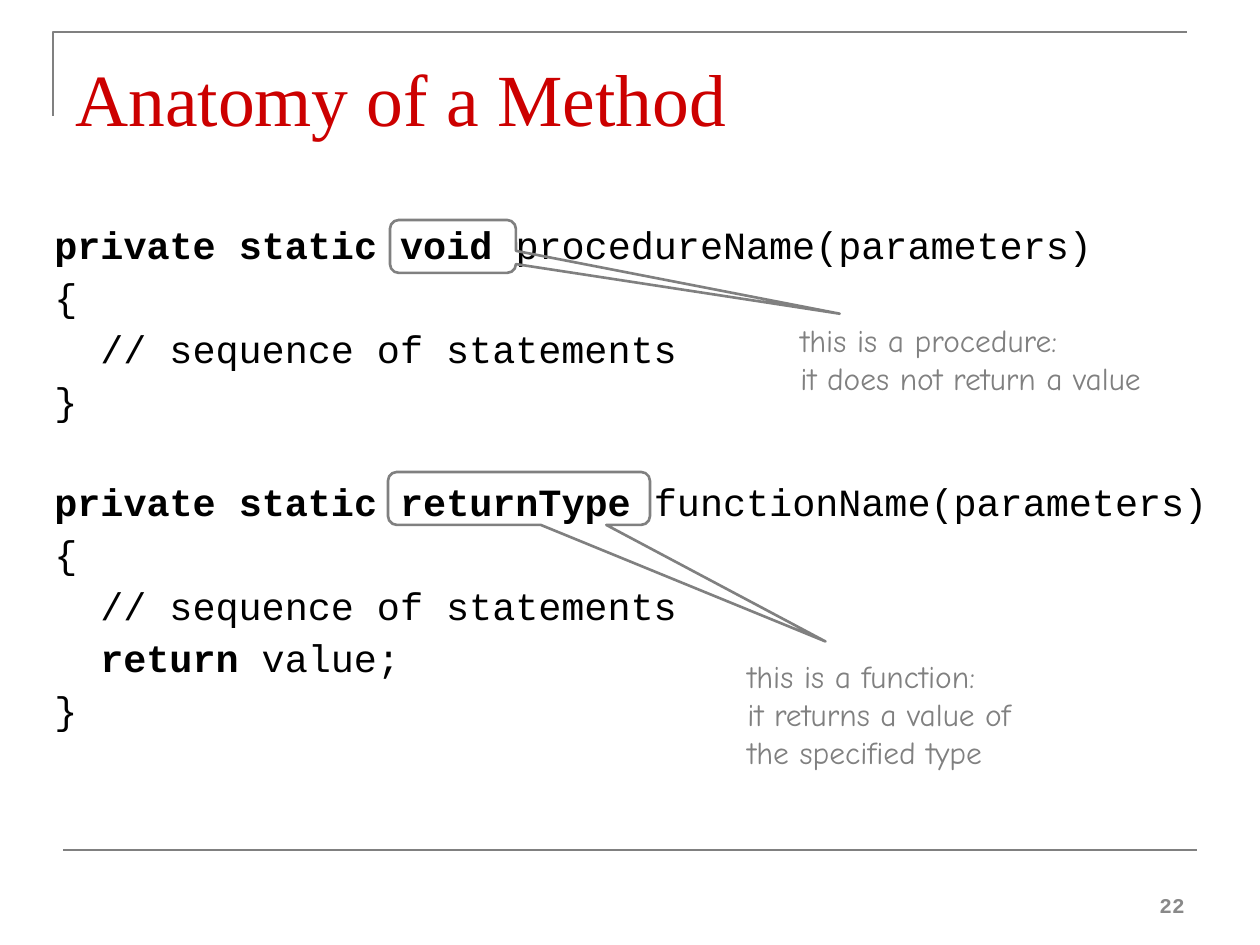
from pptx import Presentation
from pptx.dml.color import RGBColor as Color
from pptx.enum.shapes import MSO_CONNECTOR as Connector, MSO_SHAPE as Shape
from pptx.enum.text import MSO_ANCHOR as Anchor, PP_ALIGN as Align
from pptx.oxml import parse_xml
from pptx.oxml.ns import nsdecls
from pptx.util import Pt

EMU_PER_PX = 914400 / 126
COLORS = {"title": "CC0000", "code": "000000", "gray": "808080", "number": "898989"}
TITLE_FONT, CODE_FONT, NOTE_FONT = "Times New Roman", "Courier New", "Comic Neue"
CODE_INDENT = 46
CODE_GAP = 5.9
METHOD_GAP = 34.2


def px(length):
    return round(length * EMU_PER_PX)


class SlideBuilder:
    def __init__(self, width, height):
        self.deck = Presentation()
        self.deck.slide_width, self.deck.slide_height = px(width), px(height)
        self.page = self.deck.slides.add_slide(self.deck.slide_layouts[6])

    def outline(self, shape):
        shape.line.color.rgb = Color.from_string(COLORS["gray"])
        shape.line.width = Pt(1.5)

    def corner(self, points):
        builder = self.page.shapes.build_freeform(*points[0], scale=EMU_PER_PX)
        builder.add_line_segments(points[1:], close=False)
        shape = builder.convert_to_shape()
        shape.fill.background()
        shape.shadow.inherit = False
        self.outline(shape)

    def rule(self, left, right, top):
        line = self.page.shapes.add_connector(
            Connector.STRAIGHT, px(left), px(top), px(right), px(top))
        line._element.spPr.append(parse_xml(f"<a:effectLst {nsdecls('a')}/>"))
        self.outline(line)

    def style(self, para, font, size, color, bold=None):
        para.font.name, para.font.size, para.font.bold = font, Pt(size), bold
        para.font.color.rgb = Color.from_string(COLORS[color])

    def text(self, area, lines, font, size, color, bold=None, align=Align.LEFT,
             anchor=Anchor.TOP, top_inset=6, parent=None):
        box = (parent or self.page).shapes.add_textbox(*map(px, area))
        frame = box.text_frame
        frame.word_wrap = True
        frame.vertical_anchor = anchor
        frame.margin_top = px(top_inset)
        for index, line in enumerate(lines):
            para = frame.add_paragraph() if index else frame.paragraphs[0]
            para.text = line
            para.alignment = align
            self.style(para, font, size, color, bold)

    def code(self, area, methods):
        frame = self.page.shapes.add_textbox(*map(px, area)).text_frame
        frame.word_wrap = True
        para = frame.paragraphs[0]
        for number, method in enumerate(methods):
            for row, (level, keyword, rest) in enumerate(method):
                if number or row:
                    para = frame.add_paragraph()
                para.line_spacing = 0.9
                para.space_before = Pt(METHOD_GAP if number and not row else CODE_GAP)
                para._p.get_or_add_pPr().set("marL", str(px(level * CODE_INDENT)))
                self.style(para, CODE_FONT, 22, "code")
                for words, bold in ((keyword, True), (rest, False)):
                    if words:
                        span = para.add_run()
                        span.text, span.font.bold = words, bold

    def callout(self, area, tip, note_area, note_lines):
        group = self.page.shapes.add_group_shape()
        shape = group.shapes.add_shape(Shape.ROUNDED_RECTANGULAR_CALLOUT, *map(px, area))
        for index, value in enumerate((*tip, 0.167)):
            shape.adjustments[index] = value
        shape.fill.background()
        shape.shadow.inherit = False
        self.outline(shape)
        self.text(note_area, note_lines, NOTE_FONT, 18, "gray", parent=group)


def method(return_type, signature, *body):
    return [(0, f"private static {return_type}", f" {signature}(parameters)"),
            (0, "", "{"), (1, "", "// sequence of statements"), *body, (0, "", "}")]


def main():
    slide = SlideBuilder(1260, 945)
    slide.corner([(53, 116), (53, 32), (1187, 32)])
    slide.rule(63, 1197, 850)
    slide.text((63, 38, 1134, 157), ["Anatomy of a Method"], TITLE_FONT, 42, "title",
               top_inset=15)
    slide.code((42, 220, 1197, 620), [
        method("void", "procedureName"),
        method("returnType", "functionName", (1, "return", " value;")),
    ])
    slide.text((903, 861, 294, 63), ["22"], CODE_FONT, 12, "number", bold=True,
               align=Align.RIGHT, anchor=Anchor.BOTTOM)
    slide.callout((388, 472, 262, 53), (1.17, 2.7), (735, 651, 320, 126),
                  ["this is a function:", "it returns a value of", "the specified type"])
    slide.callout((390, 220, 126, 53), (3.07, 1.27), (788, 315, 397, 88),
                  ["this is a procedure:", "it does not return a value"])
    slide.deck.save("out.pptx")


if __name__ == "__main__":
    main()
